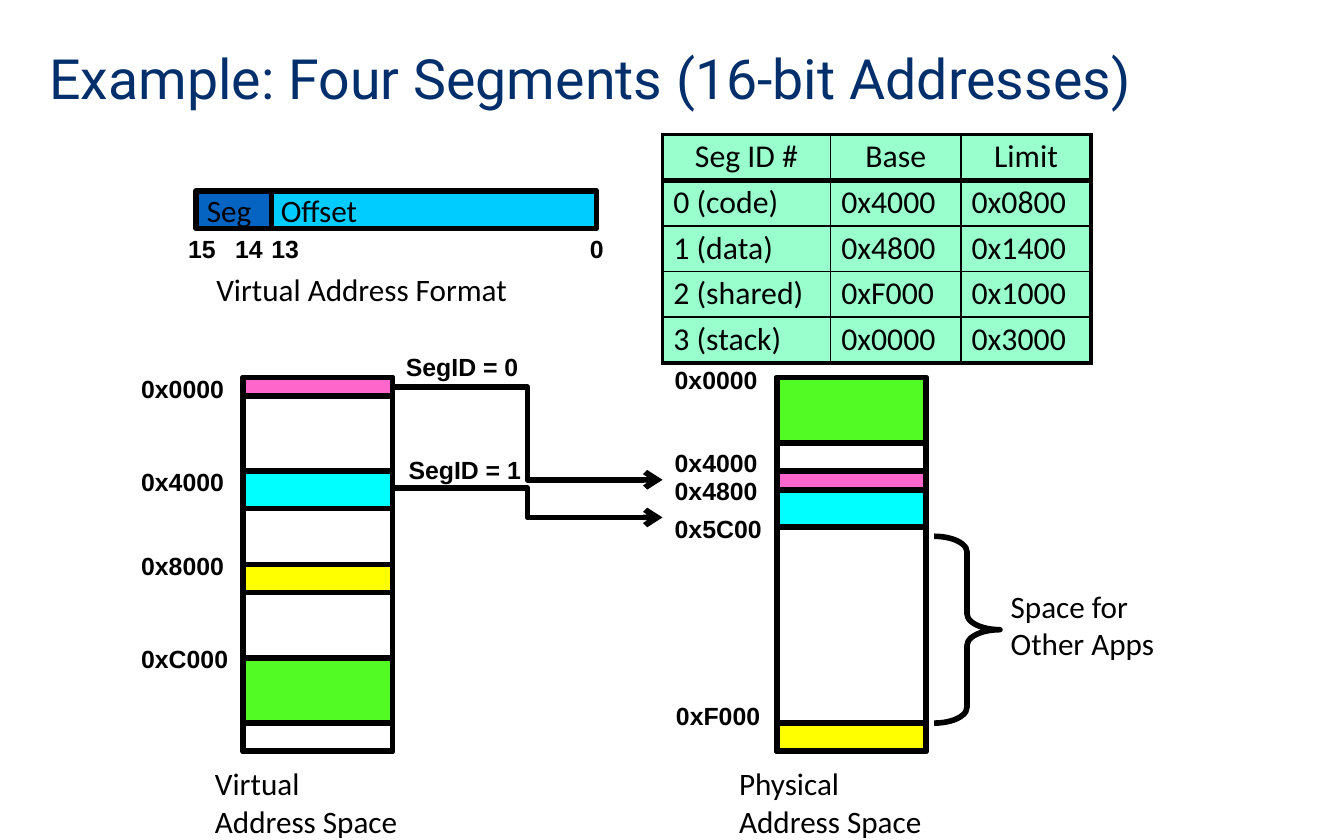
from typing import NamedTuple

from lxml import etree
from pptx import Presentation
from pptx import util as u
from pptx.dml.color import RGBColor
from pptx.enum import shapes, text
from pptx.oxml import ns

COLORS = {
    "black": "000000", "title": "002F6C", "table": "99FFCC",
    "seg": "0563C1", "offset": "00CCFF", "code": "FF66CC",
    "data": "00FFFF", "stack": "53FB25", "shared": "FFFF00",
}
LINE_WIDTH = 3
MEMORY_TOP = 2.81
MEMORY_WIDTH = 1.11
MEMORY_HEIGHT = 2.78
MEMORY_UNITS = 40
UNIT = MEMORY_HEIGHT / MEMORY_UNITS


class Style(NamedTuple):
    size: float
    font: str
    color: str = "black"
    bold: bool = False


class Label(NamedTuple):
    words: str
    left: float
    top: float
    width: float
    height: float = 0.31


class Segment(NamedTuple):
    color: str | None
    start: int
    units: int


class Memory(NamedTuple):
    left: float
    segments: list[Segment]


class Route(NamedTuple):
    start: tuple[float, float]
    end: tuple[float, float]


TITLE = Style(29.7, "Roboto", "title")
CELL = Style(17, "Calibri")
BODY = Style(16.7, "Calibri")
ADDRESS = Style(13.3, "Arial", bold=True)

ROWS = [
    ("Seg ID #", "Base", "Limit"),
    ("0 (code)", "0x4000", "0x0800"),
    ("1 (data)", "0x4800", "0x1400"),
    ("2 (shared)", "0xF000", "0x1000"),
    ("3 (stack)", "0x0000", "0x3000"),
]
COLUMN_WIDTHS = [1.25, 0.97, 0.97]
MEMORIES = [
    Memory(1.81, [
        Segment(None, 0, MEMORY_UNITS), Segment("code", 0, 2), Segment("data", 10, 4),
        Segment("stack", 30, 7), Segment(None, 30, 10), Segment("shared", 20, 3),
    ]),
    Memory(5.78, [
        Segment(None, 0, MEMORY_UNITS), Segment("code", 10, 2), Segment("data", 12, 4),
        Segment("stack", 0, 7), Segment("shared", 37, 3),
    ]),
]
ADDRESS_LABELS = [
    Label("15", 1.32, 1.7, 0.37), Label("14", 1.67, 1.7, 0.37),
    Label("13", 1.94, 1.7, 0.37), Label("0", 4.31, 1.7, 0.27),
    Label("0x0000", 0.97, 2.74, 0.79), Label("0x4000", 0.97, 3.43, 0.79),
    Label("0x8000", 0.97, 4.06, 0.79), Label("0xC000", 0.97, 4.75, 0.82),
    Label("0x0000", 4.94, 2.67, 0.79), Label("0x4000", 4.94, 3.29, 0.79),
    Label("0x4800", 4.94, 3.5, 0.79), Label("0x5C00", 4.94, 3.78, 0.82),
    Label("0xF000", 4.95, 5.17, 0.8),
    Label("SegID = 0", 2.94, 2.58, 1.05), Label("SegID = 1", 2.96, 3.34, 1.05),
]
CAPTIONS = [
    Label("Virtual Address Format", 1.53, 1.97, 2.37, 0.36),
    Label("Virtual\nAddress Space", 1.52, 5.65, 1.54, 0.64),
    Label("Physical\nAddress Space", 5.42, 5.65, 1.54, 0.64),
    Label("Space for\nOther Apps", 7.44, 4.33, 1.28, 0.64),
]
ROUTES = [Route((2.92, 2.88), (4.93, 3.57)), Route((2.92, 3.63), (4.93, 3.85))]


def rgb(name: str) -> RGBColor:
    return RGBColor.from_string(COLORS[name])


def set_text(frame, words: str, style: Style, spacing: float = 1.0,
             align=text.PP_ALIGN.LEFT) -> None:
    frame.text = words
    for para in frame.paragraphs:
        para.alignment = align
        para.line_spacing = spacing
        for span in para.runs:
            span.font.size = u.Pt(style.size)
            span.font.name = style.font
            span.font.bold = style.bold
            span.font.color.rgb = rgb(style.color)


def set_insets(frame) -> None:
    frame.margin_left = frame.margin_right = u.Inches(0.08)
    frame.margin_top = frame.margin_bottom = u.Inches(0.04)


def add_label(page, label: Label, style: Style) -> None:
    box = page.shapes.add_textbox(*map(u.Inches, label[1:]))
    box.text_frame.word_wrap = False
    set_insets(box.text_frame)
    set_text(box.text_frame, label.words, style)


def add_outlined(page, kind, left: float, top: float, width: float, height: float,
                 color: str | None = None):
    shape = page.shapes.add_shape(kind, *map(u.Inches, (left, top, width, height)))
    shape.shadow.inherit = False
    if color:
        shape.fill.solid()
        shape.fill.fore_color.rgb = rgb(color)
    else:
        shape.fill.background()
    shape.line.color.rgb = rgb("black")
    shape.line.width = u.Pt(LINE_WIDTH)
    return shape


def add_field(page, label: Label, color: str) -> None:
    field = add_outlined(page, shapes.MSO_SHAPE.RECTANGLE, *label[1:], color)
    frame = field.text_frame
    frame.word_wrap = False
    frame.vertical_anchor = text.MSO_ANCHOR.MIDDLE
    set_insets(frame)
    set_text(frame, label.words, BODY)


def add_memory(page, memory: Memory) -> None:
    for segment in memory.segments:
        add_outlined(page, shapes.MSO_SHAPE.RECTANGLE, memory.left,
                     MEMORY_TOP + segment.start * UNIT, MEMORY_WIDTH,
                     segment.units * UNIT, segment.color)


def add_route(page, route: Route) -> None:
    arrow = page.shapes.add_connector(
        shapes.MSO_CONNECTOR.ELBOW, *map(u.Inches, route.start + route.end))
    arrow.line.color.rgb = rgb("black")
    arrow.line.width = u.Pt(LINE_WIDTH)
    etree.SubElement(arrow.line._get_or_add_ln(), ns.qn("a:tailEnd"), type="arrow")
    etree.SubElement(arrow._element.spPr, ns.qn("a:effectLst"))


def set_borders(cell, widths: dict[str, float]) -> None:
    properties = cell._tc.get_or_add_tcPr()
    for index, (side, width) in enumerate(widths.items()):
        border = etree.Element(ns.qn(f"a:{side}"), w=str(u.Pt(width)))
        fill = etree.SubElement(border, ns.qn("a:solidFill"))
        etree.SubElement(fill, ns.qn("a:srgbClr"), val=COLORS["black"])
        properties.insert(index, border)


def add_segment_table(page) -> None:
    last_row, last_column = len(ROWS) - 1, len(COLUMN_WIDTHS) - 1
    row_height = 0.34
    table = page.shapes.add_table(
        len(ROWS), len(COLUMN_WIDTHS), u.Inches(4.93), u.Inches(1),
        u.Inches(sum(COLUMN_WIDTHS)), u.Inches(row_height * len(ROWS))).table
    for column, width in zip(table.columns, COLUMN_WIDTHS):
        column.width = u.Inches(width)
    for i, row in enumerate(ROWS):
        for j, words in enumerate(row):
            cell = table.cell(i, j)
            cell.fill.solid()
            cell.fill.fore_color.rgb = rgb("table")
            set_insets(cell)
            align = text.PP_ALIGN.LEFT if i else text.PP_ALIGN.CENTER
            set_text(cell.text_frame, words, CELL, 0.9, align)
            set_borders(cell, {
                "lnL": 1 if j else 2.25,
                "lnR": 2.25 if j == last_column else 1,
                "lnT": {0: 2.25, 1: 3}.get(i, 1),
                "lnB": {0: 3, last_row: 2.25}.get(i, 1),
            })


def add_title(page) -> None:
    box = page.shapes.add_textbox(*map(u.Inches, (0.27, 0.23, 8.33, 0.75)))
    box.text_frame.word_wrap = True
    box.text_frame.vertical_anchor = text.MSO_ANCHOR.MIDDLE
    set_text(box.text_frame, "Example: Four Segments (16-bit Addresses)", TITLE, 0.9)


def main() -> None:
    deck = Presentation()
    deck.slide_width, deck.slide_height = u.Inches(10), u.Inches(6.25)
    page = deck.slides.add_slide(deck.slide_layouts[6])
    add_title(page)
    add_segment_table(page)
    add_field(page, Label("Offset", 2.01, 1.42, 2.43, 0.28), "offset")
    add_field(page, Label("Seg", 1.46, 1.42, 0.56, 0.28), "seg")
    for memory in MEMORIES:
        add_memory(page, memory)
    for label in ADDRESS_LABELS:
        add_label(page, label, ADDRESS)
    for caption in CAPTIONS:
        add_label(page, caption, BODY)
    brace = add_outlined(page, shapes.MSO_SHAPE.RIGHT_BRACE, 6.95, 3.99, 0.49, 1.39)
    brace.adjustments[0] = 0.24
    for route in ROUTES:
        add_route(page, route)
    deck.save("out.pptx")


if __name__ == "__main__":
    main()
